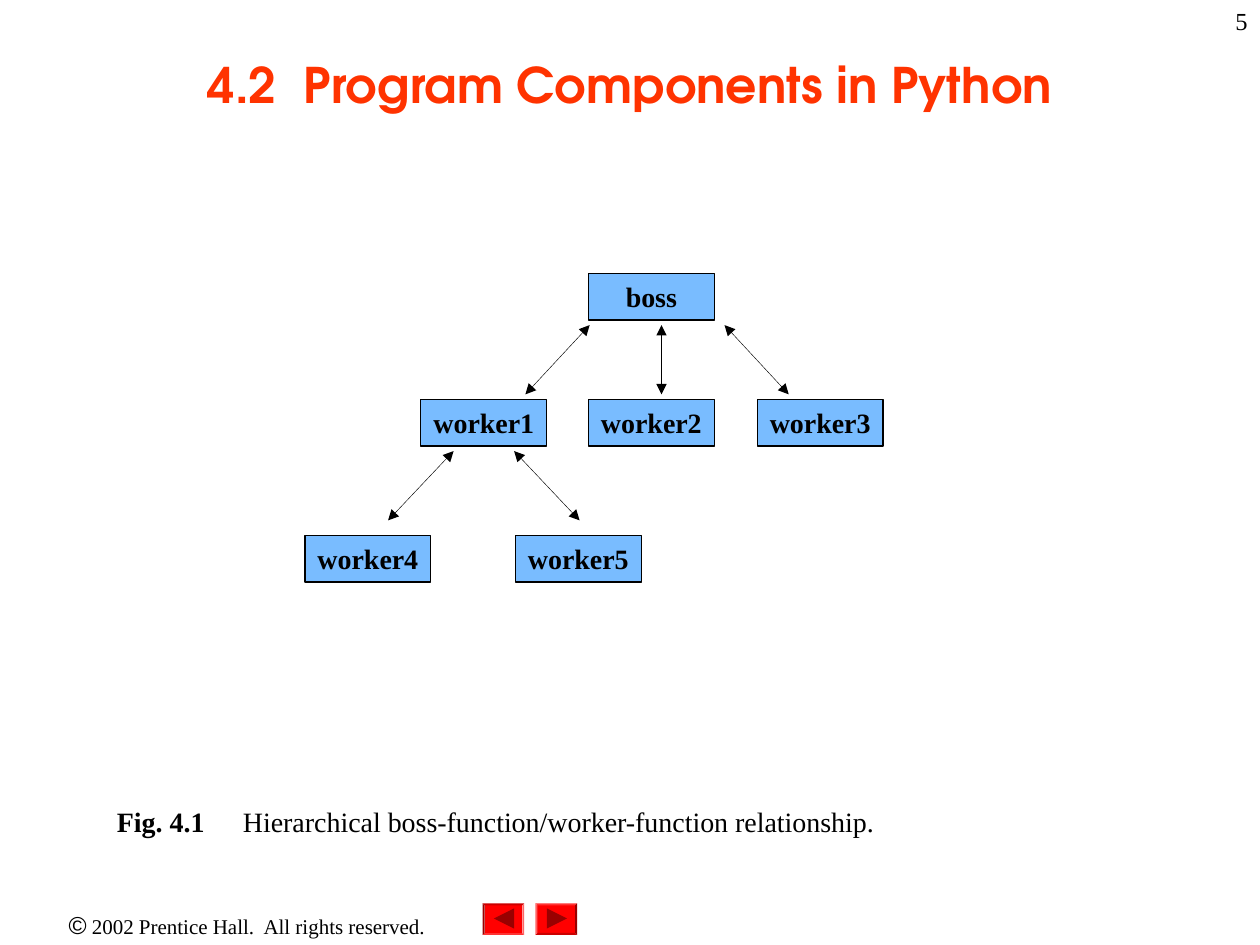
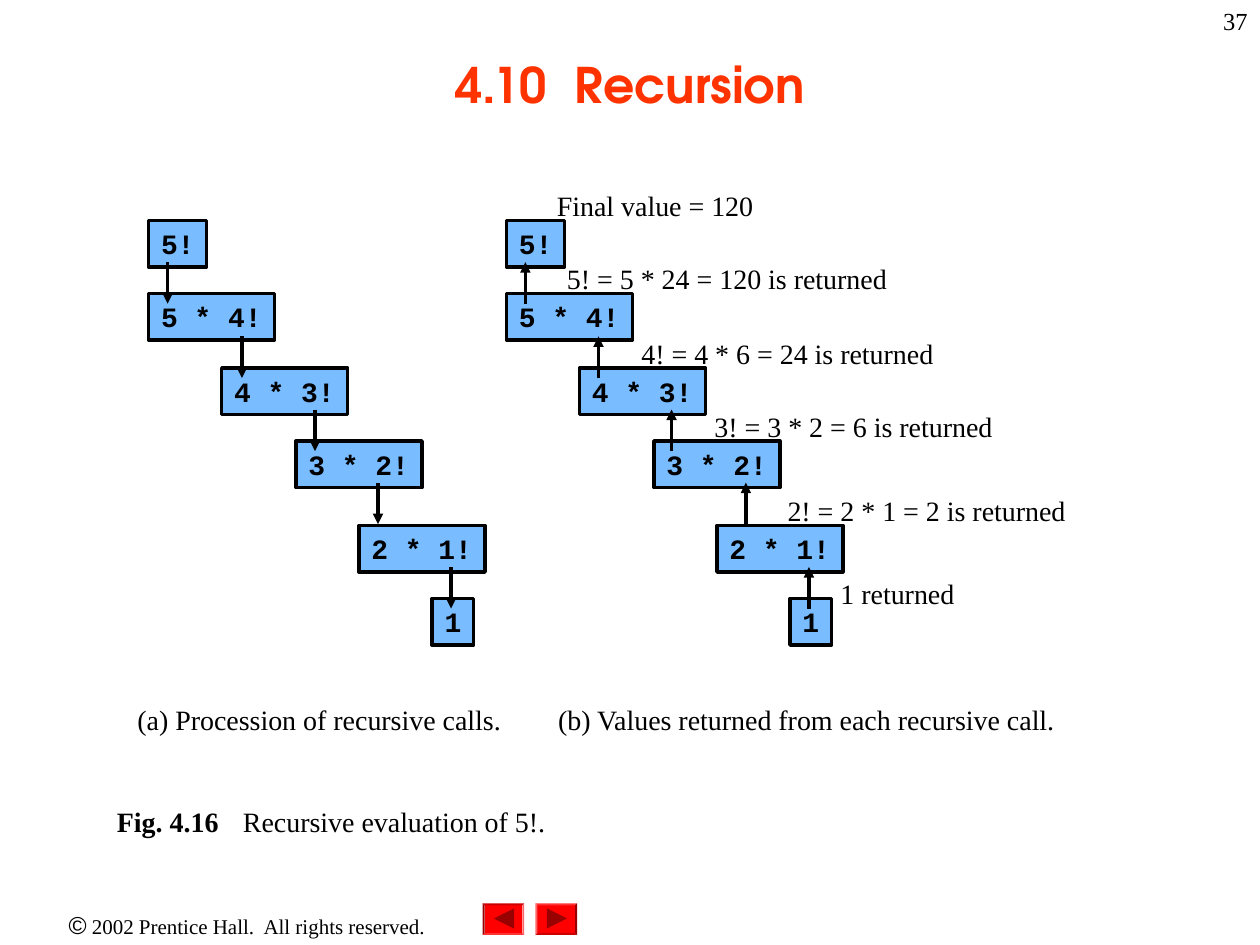
from lxml import etree
from pptx import Presentation
from pptx import util as u
from pptx.dml.color import RGBColor
from pptx.enum import shapes, text
from pptx.oxml.ns import qn

BLACK = RGBColor(0x00, 0x00, 0x00)
TITLE_RED = RGBColor(0xFF, 0x33, 0x00)
BOX_BLUE = RGBColor(0x79, 0xBC, 0xFF)
BUTTON_RED = RGBColor(0xFF, 0x00, 0x00)
BUTTON_DARK = RGBColor(0x99, 0x00, 0x00)
SERIF, MONO = "Times New Roman", "Courier New"
TITLE_FONT, SYMBOL_FONT = "TeX Gyre Adventor", "Arial"
LEFT, CENTER, RIGHT = text.PP_ALIGN.LEFT, text.PP_ALIGN.CENTER, text.PP_ALIGN.RIGHT
RECT = shapes.MSO_SHAPE.RECTANGLE


def add_text(s, runs, x, y, w, h, font=SERIF, size=16, bold=False, color=BLACK,
             align=LEFT, anchor=text.MSO_ANCHOR.TOP, wrap=True, inset=True,
             border=None, tab=None):
    """Add a text box, or a blue rectangle if border (in points) is given.

    runs is a string or a list of (string, format overrides).
    """
    place = [u.Inches(v) for v in (x, y, w, h)]
    if border:
        sp = s.shapes.add_shape(RECT, *place)
        sp.shadow.inherit = False
        sp.fill.solid()
        sp.fill.fore_color.rgb = BOX_BLUE
        sp.line.color.rgb = BLACK
        sp.line.width = u.Pt(border)
    else:
        sp = s.shapes.add_textbox(*place)
    tf = sp.text_frame
    tf.word_wrap = wrap
    tf.vertical_anchor = anchor
    tf.margin_left = tf.margin_right = u.Inches(0.1 if inset else 0)
    tf.margin_top = tf.margin_bottom = u.Inches(0.05 if inset else 0)
    p = tf.paragraphs[0]
    p.alignment = align
    if tab:
        tabs = etree.SubElement(p._p.get_or_add_pPr(), qn("a:tabLst"))
        etree.SubElement(tabs, qn("a:tab"), pos=str(u.Inches(tab)), algn="l")
    for content, change in [(runs, {})] if isinstance(runs, str) else runs:
        r = p.add_run()
        r.text = content
        r.font.name = change.get("font", font)
        r.font.size = u.Pt(change.get("size", size))
        r.font.bold = change.get("bold", bold)
        r.font.color.rgb = color


def add_arrow(s, x1, y1, x2, y2, width, ends=("tailEnd",)):
    c = s.shapes.add_connector(shapes.MSO_CONNECTOR.STRAIGHT,
                               *[u.Inches(v) for v in (x1, y1, x2, y2)])
    c.line.color.rgb = BLACK
    c.line.width = u.Pt(width)
    for end in ends:
        etree.SubElement(c.line._get_or_add_ln(), qn("a:" + end), type="triangle")
    etree.SubElement(c._element.spPr, qn("a:effectLst"))


prs = Presentation()
prs.slide_width, prs.slide_height = u.Inches(10), u.Inches(7.5)

# Parts shared by both slides: footer, buttons, title, caption, page number
pages = [
    ("4.2  Program Components in Python", "5", "Fig. 4.1",
     "Hierarchical boss-function/worker-function relationship."),
    ("4.10  Recursion", "37", "Fig. 4.16", "Recursive evaluation of 5!."),
]
for title, number, figure, caption in pages:
    s = prs.slides.add_slide(prs.slide_layouts[6])
    add_text(s, [("©", {"font": SYMBOL_FONT, "size": 14}),
                 (" 2002 Prentice Hall.  All rights reserved.", {})],
             0, 7.17, 3.92, 0.34, size=12, align=CENTER)
    for x, frame_turn, arrow_turn in [(4.25, 0, 90), (3.83, 180, 270)]:
        for kind, place, turn, color in [
            (shapes.MSO_SHAPE.BEVEL, (x, 7.17, 0.33, 0.25), frame_turn, BUTTON_RED),
            (shapes.MSO_SHAPE.ISOSCELES_TRIANGLE, (x + 0.09, 7.21, 0.16, 0.16),
             arrow_turn, BUTTON_DARK),
        ]:
            sp = s.shapes.add_shape(kind, *[u.Inches(v) for v in place])
            sp.shadow.inherit = False
            sp.rotation = turn
            sp.fill.solid()
            sp.fill.fore_color.rgb = color
            sp.line.fill.background()
            if kind == shapes.MSO_SHAPE.BEVEL:
                sp.adjustments[0] = 0.06
    add_text(s, title, 0.75, 0.08, 8.5, 1.17, font=TITLE_FONT, size=28, bold=True,
             color=TITLE_RED, align=CENTER, anchor=text.MSO_ANCHOR.MIDDLE)
    add_text(s, [(figure + "\t", {"bold": True}), (caption, {})],
             0.83, 6.34, 6.59, 0.37, tab=1)
    add_text(s, number, 7.92, 0, 2.08, 0.5, size=14, align=RIGHT)

hierarchy, recursion = prs.slides

# Slide 1: boss and workers, joined by two-headed arrows
for x1, x2, top in [(5.25, 5.25, 2.58), (4.17, 4.68, 2.58), (6.26, 5.75, 2.58),
                    (3.08, 3.6, 3.58), (4.6, 4.08, 3.58)]:
    add_arrow(hierarchy, x1, top + 0.55, x2, top, 0.25, ends=("headEnd", "tailEnd"))
for name, x, y in [("boss", 4.67, 2.17), ("worker1", 3.34, 3.17),
                   ("worker2", 4.67, 3.17), ("worker3", 6.01, 3.17),
                   ("worker4", 2.42, 4.25), ("worker5", 4.09, 4.25)]:
    add_text(hierarchy, name, x, y, 1, 0.37, bold=True, align=CENTER,
             wrap=False, border=0.75)

# Slide 2: the same staircase of calls twice, going down and coming back
calls = [("5!", 0, 1.75, 0.46), ("5 * 4!", 0, 2.33, 1), ("4 * 3!", 0.58, 2.92, 1),
         ("3 * 2!", 1.17, 3.5, 1), ("2 * 1!", 1.67, 4.17, 1), ("1", 2.25, 4.75, 0.33)]
returns = [("Final value = 120", 4.42, 1.5, 1.56),
           ("5! = 5 * 24 = 120 is returned", 4.5, 2.08, 2.54),
           ("4! = 4 * 6 = 24 is returned", 5.09, 2.67, 2.32),
           ("3! = 3 * 2 = 6 is returned", 5.67, 3.25, 2.21),
           ("2! = 2 * 1 = 2 is returned", 6.25, 3.92, 2.21),
           ("1 returned", 6.67, 4.58, 0.91)]
labels = [("(a) Procession of recursive calls.", 1.09, 5.58, 2.89),
          ("(b) Values returned from each recursive call.", 4.43, 5.58, 3.97)]
for label, x, y, w in labels + returns:
    add_text(recursion, label, x, y, w, 0.27, wrap=False, inset=False)

arrow_tops = [2.08, 2.67, 3.25, 3.83, 4.5]
stairs = [(1.18, [1.33, 1.92, 2.5, 3, 3.58], False),
          (4.02, [4.17, 4.75, 5.33, 5.92, 6.42], True)]
for left, arrow_xs, upward in stairs:
    for call, dx, y, w in calls:
        add_text(recursion, call, left + dx, y, w, 0.37, font=MONO, bold=True,
                 wrap=False, border=2)
    for x, top in zip(arrow_xs, arrow_tops):
        start, end = (top + 0.33, top) if upward else (top, top + 0.33)
        add_arrow(recursion, x, start, x, end, 2)

prs.save("out.pptx")
